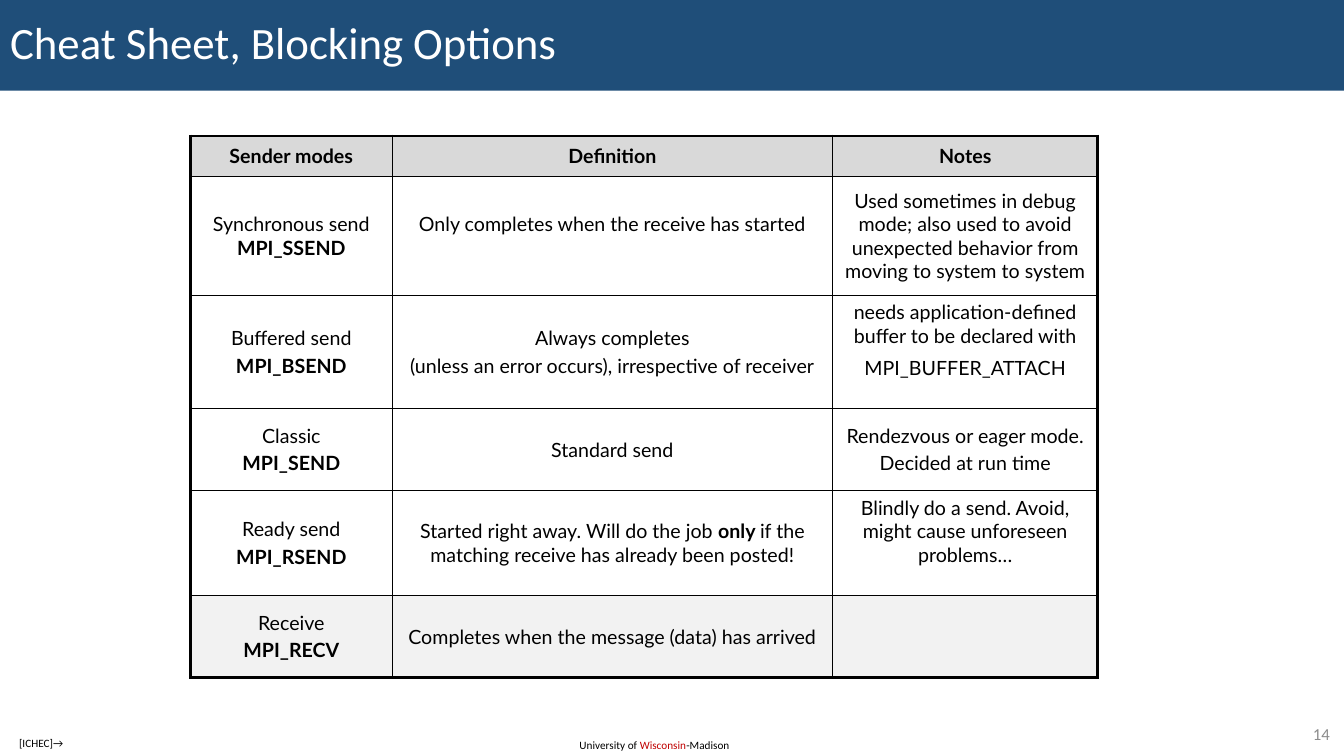
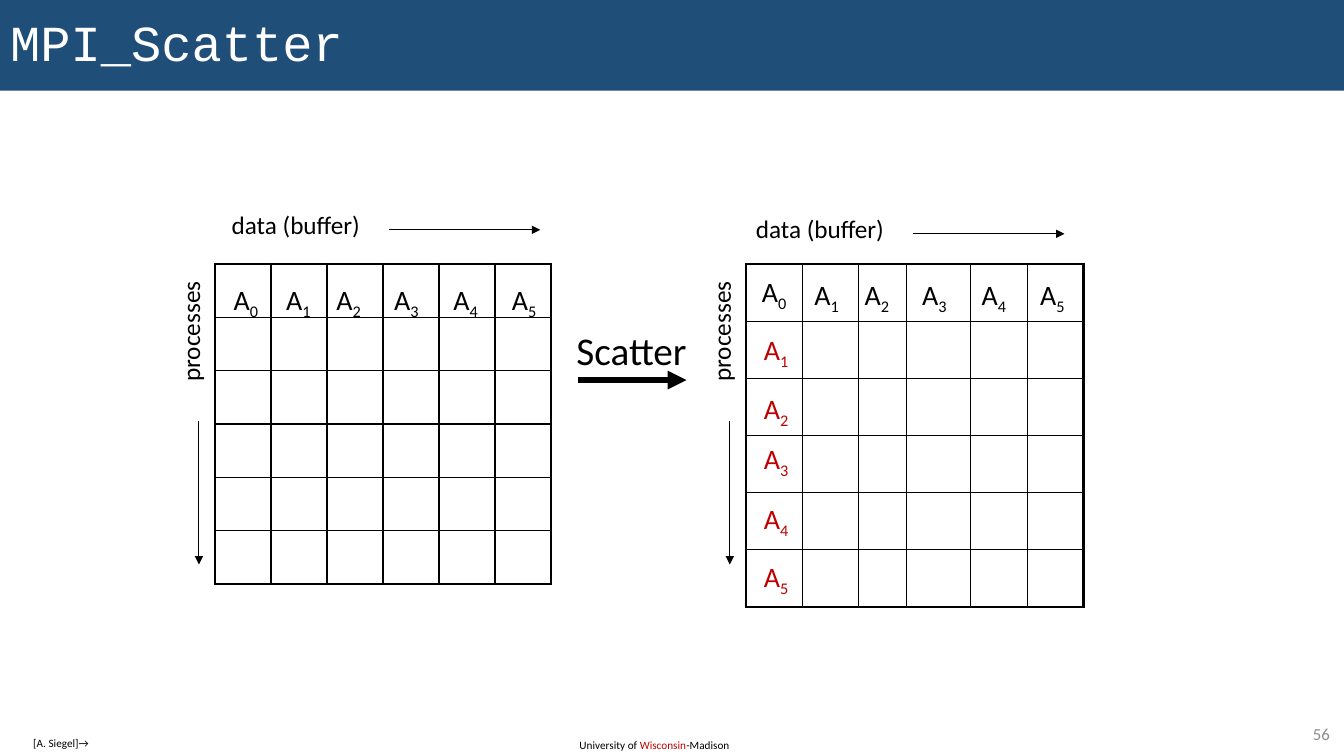
from dataclasses import dataclass
from itertools import product

from lxml.etree import SubElement
from pptx import Presentation
from pptx.dml.color import RGBColor as RGB
from pptx.enum.shapes import MSO_CONNECTOR as CONNECTOR
from pptx.enum.text import MSO_ANCHOR as ANCHOR, PP_ALIGN as ALIGN
from pptx.oxml import parse_xml
from pptx.oxml.ns import nsdecls, qn
from pptx.util import Inches, Pt


@dataclass(frozen=True)
class Theme:
    band: str = "1F4E79"
    paper: str = "FFFFFF"
    ink: str = "000000"
    accent: str = "C00000"
    muted: str = "8C8C8C"
    header: str = "D9D9D9"
    receive: str = "F2F2F2"
    sans: str = "Calibri"
    mono: str = "Courier New"
    cell: str = "Lato"
    title: int = 32
    code_title: int = 36
    operation: int = 28
    symbol: int = 20
    axis: int = 18
    body: int = 14
    number: int = 12
    small: int = 8
    frame: float = 2.25
    rule: float = 1
    arrow: float = 0.75
    thick_arrow: float = 4.5


theme = Theme()
deck = Presentation()
deck.slide_width, deck.slide_height = Inches(13.33), Inches(7.5)
COL, ROW = deck.slide_width / 100, deck.slide_height / 100


def write(paragraph, runs, **formats):
    for text, changes in runs:
        run = paragraph.add_run()
        run.text = text
        values = {"name": theme.sans, "color": theme.ink, **formats, **changes}
        run.font.color.rgb = RGB.from_string(values.pop("color"))
        if values.pop("subscript", False):
            run._r.get_or_add_rPr().set("baseline", "-25000")
        values["size"] = Pt(values["size"])
        for attribute, value in values.items():
            setattr(run.font, attribute, value)


def label(slide, runs, left, top, width, height, wrap=False, align=ALIGN.LEFT, turn=0, **formats):
    box = slide.shapes.add_textbox(
        int(left * COL), int(top * ROW), int(width * COL), int(height * ROW))
    box.rotation = turn
    box.text_frame.word_wrap = wrap
    box.text_frame.paragraphs[0].alignment = align
    write(box.text_frame.paragraphs[0], runs, **formats)


headings = [
    ("Cheat Sheet, Blocking Options", theme.sans, theme.title, "14", "[ICHEC]→", 0.68),
    ("MPI_Scatter", theme.mono, theme.code_title, "56", "[A. Siegel]→", 1.73),
]
slides = []
for heading, face, size, number, credit, credit_left in headings:
    slide = deck.slides.add_slide(deck.slide_layouts[5])
    slides.append(slide)
    title = slide.shapes.title
    place = {"left": 0, "top": 0, "width": deck.slide_width, "height": int(12 * ROW)}
    for attribute, value in place.items():
        setattr(title, attribute, value)
    title.fill.solid()
    title.fill.fore_color.rgb = RGB.from_string(theme.band)
    title.text_frame.vertical_anchor = ANCHOR.MIDDLE
    line = title.text_frame.paragraphs[0]
    for attribute, value in {"alignment": ALIGN.LEFT, "line_spacing": 0.9}.items():
        setattr(line, attribute, value)
    write(line, [(heading, {})], name=face, size=size, color=theme.paper)
    school = [("University of ", {}), ("Wisconsin", {"color": theme.accent}), ("-Madison", {})]
    label(slide, school, 42.38, 97.07, 12.9, 3.2, wrap=True, size=theme.small)
    label(slide, [(number, {})], 93.98, 95.07, 5.7, 3.87, wrap=True, align=ALIGN.RIGHT,
          size=theme.number, color=theme.muted)
    label(slide, [(credit, {})], credit_left, 96.8, 7.28, 3.2, size=theme.small)

modes_slide, scatter_slide = slides
bold = {"bold": True}
modes = [
    [[[(name, bold)]] for name in ("Sender modes", "Definition", "Notes")],
    [
        [[("Synchronous send ", {}), ("MPI_SSEND", bold)]],
        [[("Only completes when the receive has started", {})]],
        [[("Used sometimes in debug mode; also used to avoid unexpected behavior "
           "from moving to system to system", {})]],
    ],
    [
        [[("Buffered send", {})], [("MPI_BSEND", bold)]],
        [[("Always completes", {})],
         [("(unless an error occurs), irrespective of receiver", {})]],
        [[("needs application-defined buffer to be declared with", {})],
         [("MPI_BUFFER_ATTACH", {})]],
    ],
    [
        [[("Classic", {})], [("MPI_SEND", bold)]],
        [[("Standard send", {})]],
        [[("Rendezvous or eager mode.", {})], [("Decided at run time", {})]],
    ],
    [
        [[("Ready send", {})], [("MPI_RSEND", bold)]],
        [[("Started right away. Will do the job ", {}), ("only ", bold),
          ("if the matching receive has already been posted!", {})]],
        [[("Blindly do a send. Avoid, might cause unforeseen problems…", {})]],
    ],
    [
        [[("Receive", {})], [("MPI_RECV", bold)]],
        [[("Completes when the message (data) has arrived", {})]],
        [],
    ],
]
raised = {(1, 1), (2, 2), (4, 2)}
wide_gap = {(2, 2)}
row_fills = {0: theme.header, 5: theme.receive}

grids = [
    (modes_slide, 14.18, 18, [15, 32.78, 19.73],
     [5.33, 15.73, 14.93, 10.93, 13.73, 10.93], modes, row_fills),
    (scatter_slide, 16, 34.93, [4.17] * 6, [7.06] * 6, None, {}),
    (scatter_slide, 55.5, 34.93, [4.2, 4.2, 3.53, 4.8, 4.2, 4.2], [7.56] * 6, None, {}),
]
for slide, left, top, widths, heights, content, fills in grids:
    table = slide.shapes.add_table(
        len(heights), len(widths), int(left * COL), int(top * ROW),
        int(sum(widths) * COL), int(sum(heights) * ROW)).table
    table.first_row = table.horz_banding = False
    for column, width in zip(table.columns, widths):
        column.width = int(width * COL)
    for row, height in zip(table.rows, heights):
        row.height = int(height * ROW)
    last_row, last_column = len(heights) - 1, len(widths) - 1
    for r, c in product(range(len(heights)), range(len(widths))):
        cell = table.cell(r, c)
        cell.vertical_anchor = ANCHOR.MIDDLE
        if r in fills:
            cell.fill.solid()
            cell.fill.fore_color.rgb = RGB.from_string(fills[r])
        else:
            cell.fill.background()
        outer = {"L": c == 0, "R": c == last_column, "T": r == 0, "B": r == last_row}
        for position, (side, is_outer) in enumerate(outer.items()):
            weight = Pt(theme.frame if is_outer else theme.rule)
            cell._tc.get_or_add_tcPr().insert(position, parse_xml(
                f'<a:ln{side} {nsdecls("a")} w="{weight}"><a:solidFill>'
                f'<a:srgbClr val="{theme.ink}"/></a:solidFill></a:ln{side}>'))
        if content is None:
            continue
        if (r, c) in raised:
            cell.margin_bottom = int(3.8 * ROW)
        for index, runs in enumerate(content[r][c]):
            frame = cell.text_frame
            line = frame.add_paragraph() if index else frame.paragraphs[0]
            gap = Pt(6 if (r, c) in wide_gap else 3) if index else Pt(0)
            for attribute, value in {"alignment": ALIGN.CENTER, "space_before": gap}.items():
                setattr(line, attribute, value)
            write(line, runs, name=theme.cell, size=theme.body)

arrows = [(42.98, 50.27, 51.08, 50.27, theme.thick_arrow)]
symbols = []
column_steps = [0.65, 4.55, 8.3, 12.58, 17, 21.35]
process_tops = [43.33, 51.07, 57.73, 65.73, 73.33]
buffers = [(16, 16.5, 27.07, 0, 36.67), (55.5, 55.5, 27.6, 0.2, 36)]
for left, caption_left, caption_top, shift, symbol_top in buffers:
    label(scatter_slide, [("processes", {})], left - 6.4, 41.07, 9.08, 5.33,
          turn=270, size=theme.axis)
    label(scatter_slide, [("data (buffer)", {})], caption_left, caption_top, 11.18, 5.33,
          size=theme.axis)
    arrow_top = caption_top + 3.33
    arrows += [
        (left - 1.2, 55.73, left - 1.2, 74.67, theme.arrow),
        (caption_left + 12.45, arrow_top, caption_left + 23.7, arrow_top, theme.arrow),
    ]
    for index, step in enumerate(column_steps):
        rise = 0.4 if shift and index == 0 else 0
        symbols.append((index, left + step - shift, symbol_top - rise, theme.ink))
for index, top in enumerate(process_tops, 1):
    symbols.append((index, 56.1, top, theme.accent))

for index, left, top, color in symbols:
    label(scatter_slide, [("A", {}), (str(index), {"subscript": True})],
          left, top, 3.45, 5.87, size=theme.symbol, color=color)
label(scatter_slide, [("Scatter", {})], 42.15, 42.53, 9.83, 7.6, size=theme.operation)

for start_x, start_y, end_x, end_y, weight in arrows:
    arrow = scatter_slide.shapes.add_connector(
        CONNECTOR.STRAIGHT, int(start_x * COL), int(start_y * ROW),
        int(end_x * COL), int(end_y * ROW))
    arrow.line.width = Pt(weight)
    arrow.line.color.rgb = RGB.from_string(theme.ink)
    SubElement(arrow.line._get_or_add_ln(), qn("a:tailEnd"), type="triangle")
    SubElement(arrow._element.spPr, qn("a:effectLst"))

deck.save("out.pptx")
